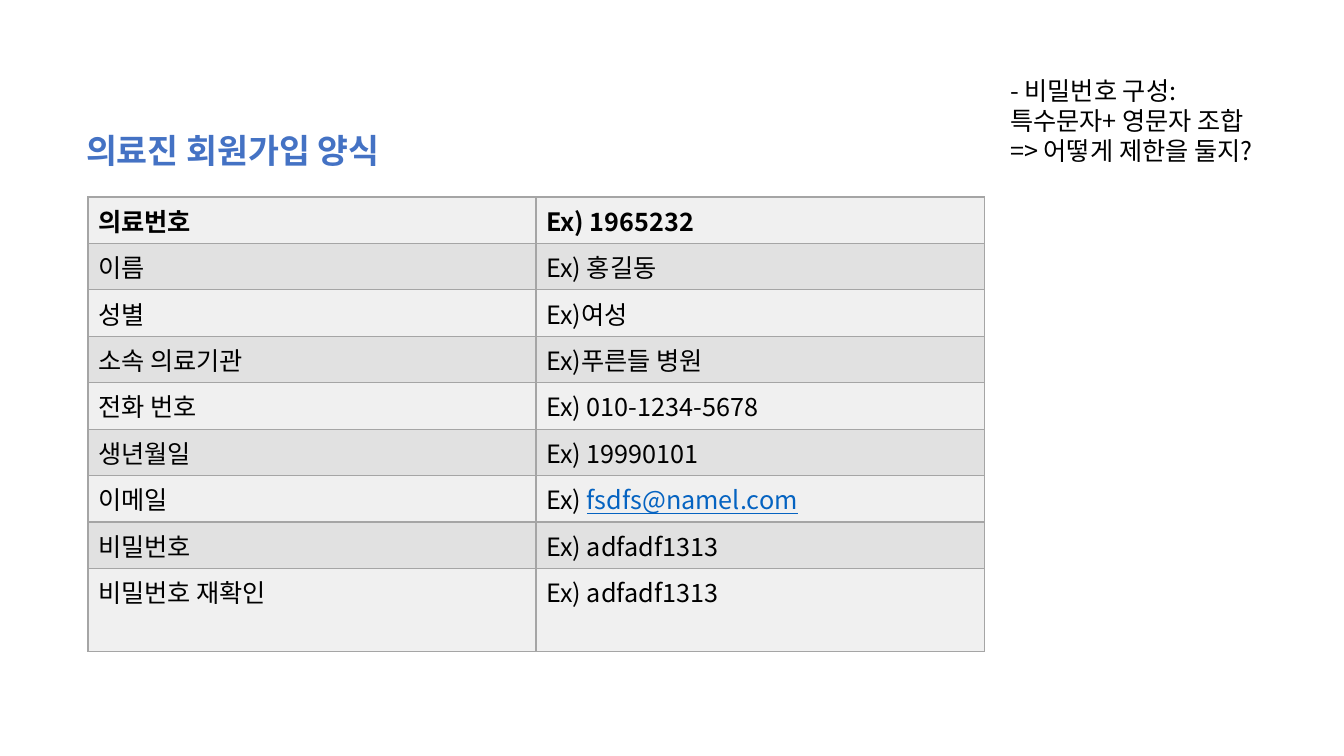
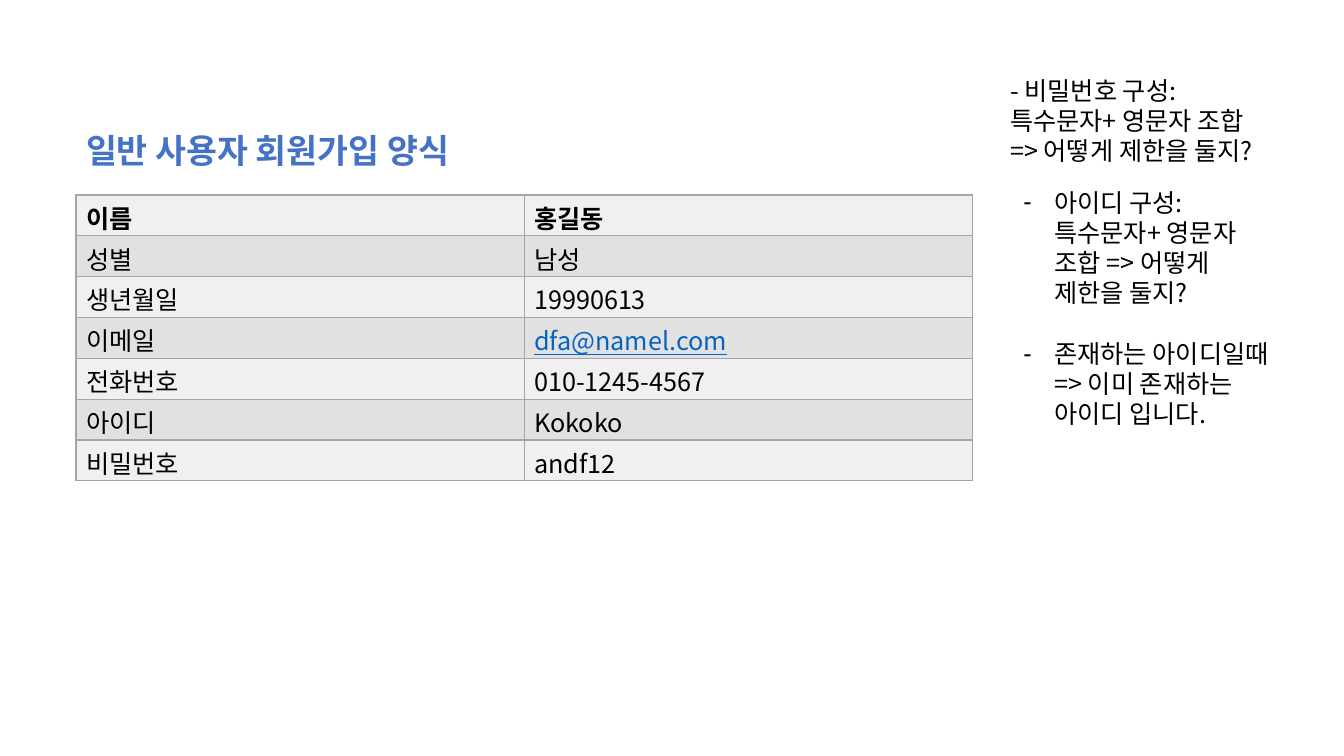
import pptx
import pptx.util
import pptx.dml.color
import pptx.enum.text
import pptx.oxml.ns
from lxml import etree

FONT = "Noto Sans CJK KR"
COLORS = {"title": "4472C4", "text": "000000", "link": "0563C1",
          "light": "F0F0F0", "dark": "E1E1E1", "border": "A5A5A5"}
TITLE_SPACING = 0.9
NOTE_SPACING = pptx.util.Pt(21.6)
TITLE_ONLY, TITLE_AND_CONTENT = 5, 1


def px(n):
    return pptx.util.Emu(round(n * 914400 / 100.8))


def rgb(name):
    return pptx.dml.color.RGBColor.from_string(COLORS[name])


def add_xml(parent, tag, **attrs):
    return etree.SubElement(parent, pptx.oxml.ns.qn(tag), attrs)


class Deck:
    def __init__(self):
        self.prs = pptx.Presentation()
        self.prs.slide_width = pptx.util.Inches(13.33)
        self.prs.slide_height = pptx.util.Inches(7.5)
        self.slide = None

    def new_slide(self, layout):
        self.slide = self.prs.slides.add_slide(self.prs.slide_layouts[layout])

    def style(self, p, size=18, color="text", bold=False, spacing=None):
        p.alignment = pptx.enum.text.PP_ALIGN.LEFT
        p.line_spacing = spacing
        p.font.name = FONT
        p.font.size = pptx.util.Pt(size)
        p.font.bold = bold
        p.font.color.rgb = rgb(color)
        # East Asian typeface for the Korean text
        add_xml(p.font._element, "a:ea", typeface=FONT)

    def frame(self, sp, x, y, w, h):
        sp.left, sp.top, sp.width, sp.height = map(px, (x, y, w, h))
        tf = sp.text_frame
        tf.word_wrap = True
        tf.auto_size = pptx.enum.text.MSO_AUTO_SIZE.NONE
        tf.vertical_anchor = pptx.enum.text.MSO_ANCHOR.TOP
        return tf

    def title(self, text, width):
        tf = self.frame(self.slide.shapes.title, 76, 129, width, 82)
        tf.text = text
        self.style(tf.paragraphs[0], 24, "title", True, TITLE_SPACING)

    def note(self, text, x, y, w, h):
        tf = self.frame(self.slide.shapes.add_textbox(0, 0, 0, 0), x, y, w, h)
        tf.text = text
        self.style(tf.paragraphs[0], spacing=NOTE_SPACING)

    def dash_list(self, items, x, y, w, h):
        tf = self.frame(self.slide.placeholders[1], x, y, w, h)
        for i, item in enumerate(items):
            p = tf.paragraphs[0] if i == 0 else tf.add_paragraph()
            p.text = item
            pPr = p._p.get_or_add_pPr()
            pPr.set("marL", str(px(31)))
            pPr.set("indent", str(-px(31)))
            add_xml(pPr, "a:buChar", char="-")
            p.space_before = NOTE_SPACING if i else 0
            self.style(p, spacing=NOTE_SPACING)

    def table(self, rows, x, y, col_width, heights, margins):
        frame = self.slide.shapes.add_table(
            len(rows), 2, px(x), px(y), px(2 * col_width), px(sum(heights)))
        tbl = frame.table
        tbl.first_row = tbl.horz_banding = False
        for col in tbl.columns:
            col.width = px(col_width)
        for i, (row, height) in enumerate(zip(rows, heights)):
            tbl.rows[i].height = px(height)
            for j, text in enumerate(row):
                self.cell(tbl.cell(i, j), text, i, margins)

    def cell(self, cell, text, row, margins):
        cell.margin_top, cell.margin_bottom = map(px, margins)
        tcPr = cell._tc.get_or_add_tcPr()
        for side in "LRTB":
            ln = add_xml(tcPr, "a:ln" + side, w=str(pptx.util.Pt(1)))
            fill = add_xml(ln, "a:solidFill")
            add_xml(fill, "a:srgbClr", val=COLORS["border"])
        cell.fill.solid()
        cell.fill.fore_color.rgb = rgb("dark" if row % 2 else "light")
        p = cell.text_frame.paragraphs[0]
        self.style(p, bold=row == 0)
        # An e-mail address is set apart from its prefix
        prefix, space, last = text.rpartition(" ")
        if "@" not in last:
            p.add_run().text = text
            return
        if prefix:
            p.add_run().text = prefix + space
        r = p.add_run()
        r.text = last
        r.font.underline = True
        r.font.color.rgb = rgb("link")


PASSWORD_NOTE = "- 비밀번호 구성: 특수문자+ 영문자 조합 => 어떻게 제한을 둘지?"
PASSWORD_BOX = (1000, 70, 278, 102)

STAFF_ROWS = [
    ("의료번호", "Ex) 1965232"),
    ("이름", "Ex) 홍길동"),
    ("성별", "Ex)여성"),
    ("소속 의료기관", "Ex)푸른들 병원"),
    ("전화 번호", "Ex) 010-1234-5678"),
    ("생년월일", "Ex) 19990101"),
    ("이메일", "Ex) fsdfs@namel.com"),
    ("비밀번호", "Ex) adfadf1313"),
    ("비밀번호 재확인", "Ex) adfadf1313"),
]
USER_ROWS = [
    ("이름", "홍길동"),
    ("성별", "남성"),
    ("생년월일", "19990613"),
    ("이메일", "dfa@namel.com"),
    ("전화번호", "010-1245-4567"),
    ("아이디", "Kokoko"),
    ("비밀번호", "andf12"),
]

deck = Deck()

# Medical staff sign-up form
deck.new_slide(TITLE_ONLY)
deck.table(STAFF_ROWS, 88, 197, 448, [46] * 8 + [83], (5, 5))
deck.title("의료진 회원가입 양식", 389)
deck.note(PASSWORD_NOTE, *PASSWORD_BOX)

# General user sign-up form
deck.new_slide(TITLE_AND_CONTENT)
deck.title("일반 사용자 회원가입 양식", 469)
deck.table(USER_ROWS, 76, 195, 448, [286 / 7] * 7, (4, 0))
deck.note(PASSWORD_NOTE, *PASSWORD_BOX)
deck.dash_list(["아이디 구성: 특수문자+ 영문자 조합 => 어떻게 제한을 둘지?",
                "존재하는 아이디일때 => 이미 존재하는 아이디 입니다."],
               1013, 182, 278, 254)

deck.prs.save("out.pptx")
